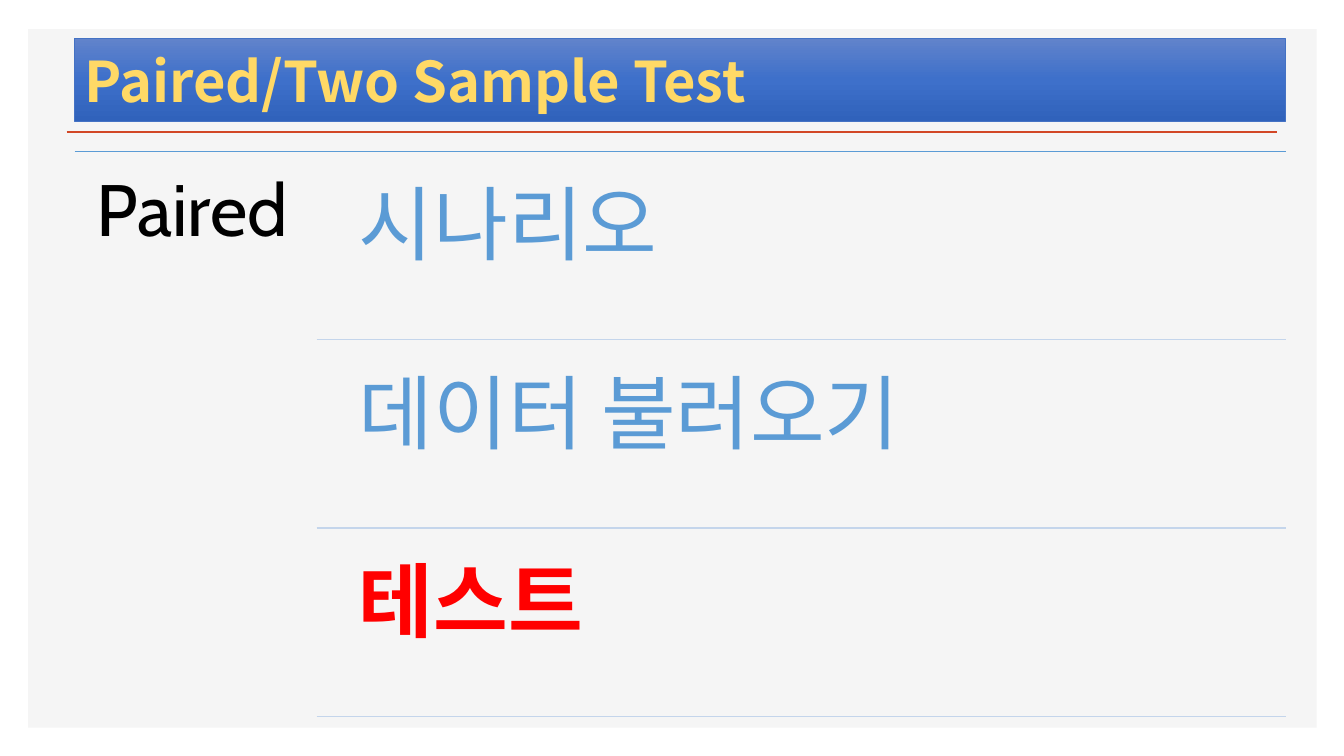
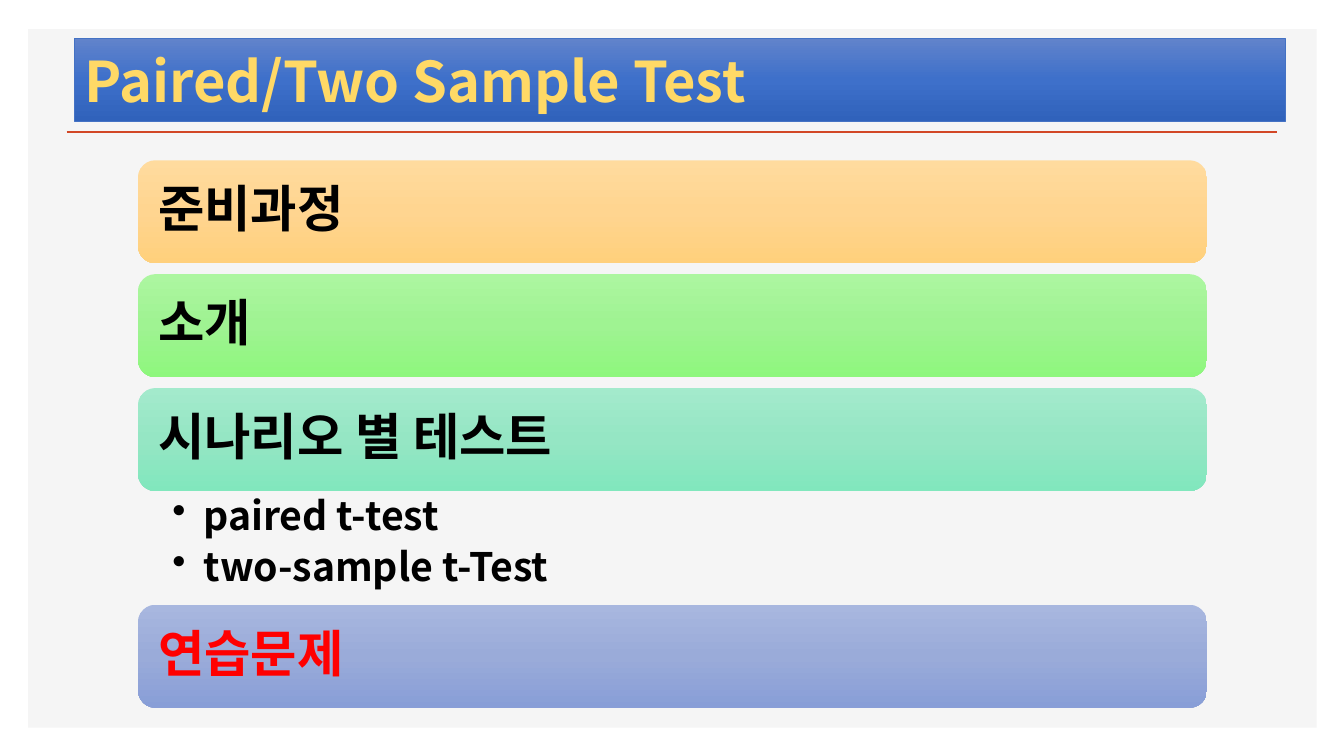
import copy

import pptx
import pptx.dml.color
import pptx.enum.shapes
import pptx.enum.text
import pptx.oxml.ns
import pptx.oxml.xmlchemy
import pptx.util

Inches = pptx.util.Inches
Pt = pptx.util.Pt
RGB = pptx.dml.color.RGBColor.from_string
SHAPE = pptx.enum.shapes.MSO_SHAPE
ANCHOR = pptx.enum.text.MSO_ANCHOR
qn = pptx.oxml.ns.qn
new_element = pptx.oxml.xmlchemy.OxmlElement

COLORS = {
    "panel": "F5F5F5", "accent": "D24726", "blue": "5B9BD5", "pale": "C4D5EB",
    "edge": "4472C4", "title": "FFD966", "text": "000000", "current": "FF0000",
}
GRADIENTS = {
    "title": ("6183CB", "3E70CA", "3062BB"),
    "orange": ("FFDB9E", "FFD590", "FFD07C"),
    "green": ("ACF6A0", "9FF392", "8EF77D"),
    "teal": ("A3EACC", "95E6C4", "81E7BD"),
    "indigo": ("A8B7DF", "9AABD9", "889ED7"),
}
SANS, KOREAN = "Cabin", "Noto Sans CJK KR"


def write(frame, lines, color, font, margins, anchor=ANCHOR.TOP, spacing=0.9, after=0):
    """Fill a text frame; font and margins hold format values."""
    frame_format = {"word_wrap": True, "vertical_anchor": anchor}
    for side, inset in zip(("left", "top", "right", "bottom"), margins):
        frame_format["margin_" + side] = Inches(inset)
    for name, value in frame_format.items():
        setattr(frame, name, value)
    for i, line in enumerate(lines):
        paragraph = frame.paragraphs[0] if i == 0 else frame.add_paragraph()
        paragraph_format = {
            "alignment": pptx.enum.text.PP_ALIGN.LEFT,
            "line_spacing": spacing, "space_after": Pt(after),
        }
        for name, value in paragraph_format.items():
            setattr(paragraph, name, value)
        run = paragraph.add_run()
        run.text = line
        for name, value in font.items():
            setattr(run.font, name, value)
        run.font.color.rgb = RGB(COLORS[color])
        east_asian = new_element("a:ea")
        east_asian.set("typeface", KOREAN)
        run._r.get_or_add_rPr().append(east_asian)


def shade(shape, stops):
    """Give a shape a three-stop gradient running from top to bottom."""
    shape.shadow.inherit = False
    shape.fill.gradient()
    shape.fill.gradient_angle = 270
    stop_list = next(shape.element.iter(qn("a:gsLst")))
    stop_list.insert(1, copy.deepcopy(stop_list[0]))
    for i, stop in enumerate(shape.fill.gradient_stops):
        stop.position = i / 2
        stop.color.rgb = RGB(stops[i])


deck = pptx.Presentation()
deck.slide_width, deck.slide_height = Inches(13.33), Inches(7.5)
outline, agenda = [deck.slides.add_slide(deck.slide_layouts[6]) for _ in range(2)]
rules = []  # slide, left, right, height, colour, weight

# Shared panel, title band and accent rule
for slide in (outline, agenda):
    panel = slide.shapes.add_shape(
        SHAPE.RECTANGLE, Inches(0.28), Inches(0.29), Inches(12.78), Inches(6.93))
    panel.shadow.inherit = False
    panel.fill.solid()
    panel.fill.fore_color.rgb = RGB(COLORS["panel"])
    panel.line.fill.background()

    title = slide.shapes.add_shape(
        SHAPE.RECTANGLE, Inches(0.74), Inches(0.38), Inches(12.01), Inches(0.82))
    shade(title, GRADIENTS["title"])
    title.line.color.rgb = RGB(COLORS["edge"])
    title.line.width = Pt(0.5)
    write(title.text_frame, ["Paired/Two Sample Test"], "title",
          {"name": KOREAN, "size": Pt(40), "bold": True},
          (0.1, 0.05, 0.1, 0.05), ANCHOR.MIDDLE, 1.0)
    rules.append((slide, 0.66, 12.67, 1.31, "accent", 2))

# Outline: heading on the left, ruled steps on the right
TOP, PITCH = 1.5, 1.87
rules.append((outline, 0.74, 12.75, TOP, "blue", 1))
heading = outline.shapes.add_textbox(
    Inches(0.74), Inches(TOP), Inches(2.4), Inches(5.69))
write(heading.text_frame, ["Paired"], "text",
      {"name": SANS, "size": Pt(52)}, [0.22] * 4)

steps = [("시나리오", "blue"), ("데이터 불러오기", "blue"), ("테스트", "current")]
for i, (label, color) in enumerate(steps):
    row_top = TOP + i * PITCH
    step = outline.shapes.add_textbox(
        Inches(3.32), Inches(row_top + 0.09), Inches(9.43), Inches(1.78))
    write(step.text_frame, [label], color,
          {"name": SANS, "size": Pt(58), "bold": color == "current"}, [0.24] * 4)
    rules.append((outline, 3.14, 12.75, row_top + PITCH, "pale", 1))

# Agenda: one bar per section
sections = [
    (1.59, "준비과정", "orange", "text"),
    (2.72, "소개", "green", "text"),
    (3.85, "시나리오 별 테스트", "teal", "text"),
    (6.0, "연습문제", "indigo", "current"),
]
for top, label, gradient, color in sections:
    section = agenda.shapes.add_shape(
        SHAPE.ROUNDED_RECTANGLE, Inches(1.37), Inches(top), Inches(10.6), Inches(1.02))
    shade(section, GRADIENTS[gradient])
    section.line.fill.background()
    write(section.text_frame, [label], color,
          {"name": KOREAN, "size": Pt(36), "bold": True}, [0.15] * 4, ANCHOR.MIDDLE)

# Bulleted tests under the third section
tests = agenda.shapes.add_textbox(
    Inches(1.37), Inches(4.88), Inches(10.6), Inches(1.12))
write(tests.text_frame, ["paired t-test", "two-sample t-Test"], "text",
      {"name": KOREAN, "size": Pt(28), "bold": True},
      (0.34, 0.05, 0.28, 0.05), after=6)
for paragraph in tests.text_frame.paragraphs:
    properties = paragraph._p.get_or_add_pPr()
    properties.set("marL", str(Inches(0.31)))
    properties.set("indent", str(-Inches(0.31)))
    bullet = new_element("a:buChar")
    bullet.set("char", "•")
    properties.append(bullet)

# Horizontal rules
for slide, left, right, height, color, weight in rules:
    rule = slide.shapes.add_connector(
        pptx.enum.shapes.MSO_CONNECTOR.STRAIGHT,
        Inches(left), Inches(height), Inches(right), Inches(height))
    rule.line.color.rgb = RGB(COLORS[color])
    rule.line.width = Pt(weight)
    rule._element.spPr.append(new_element("a:effectLst"))

deck.save("out.pptx")
